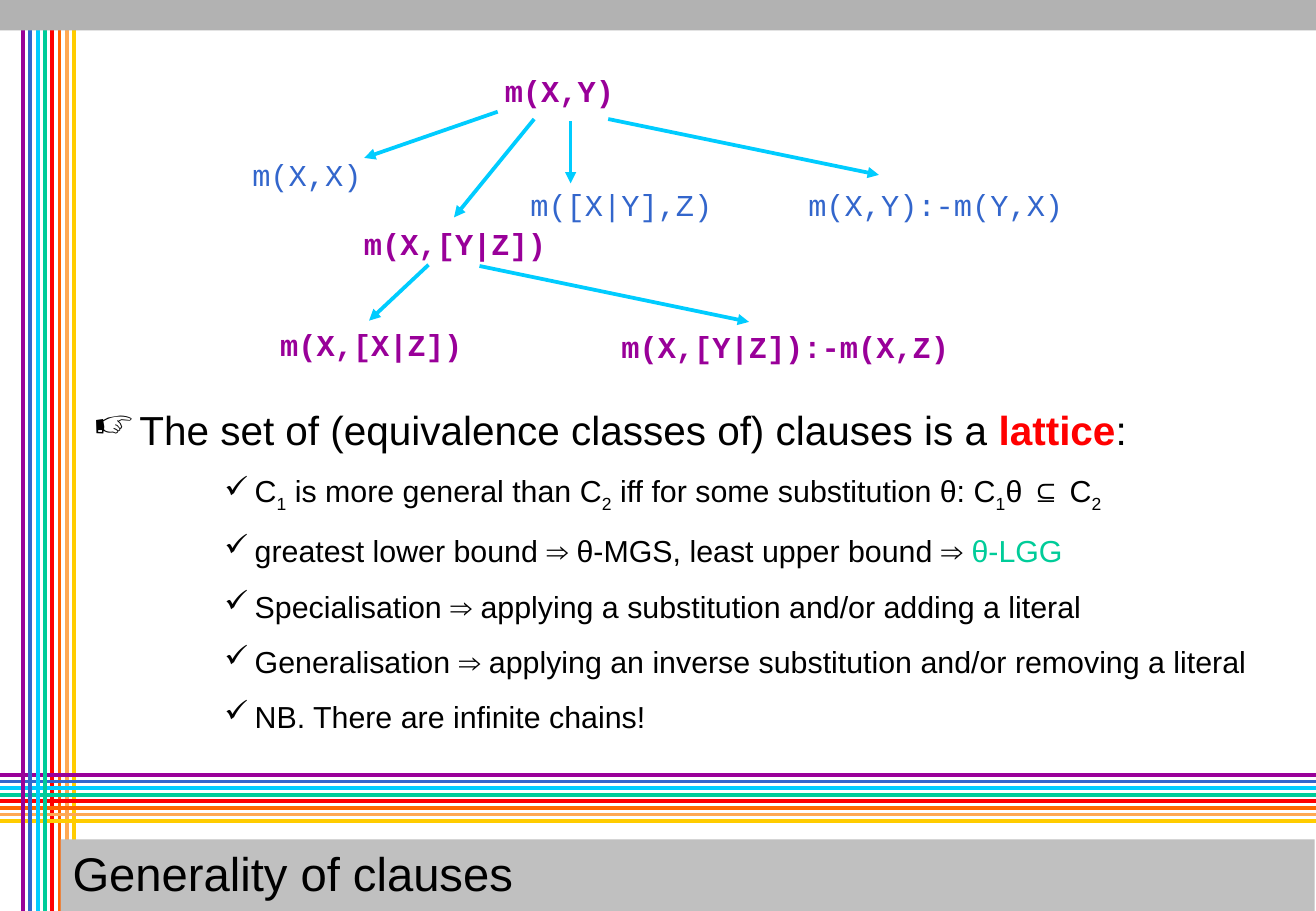
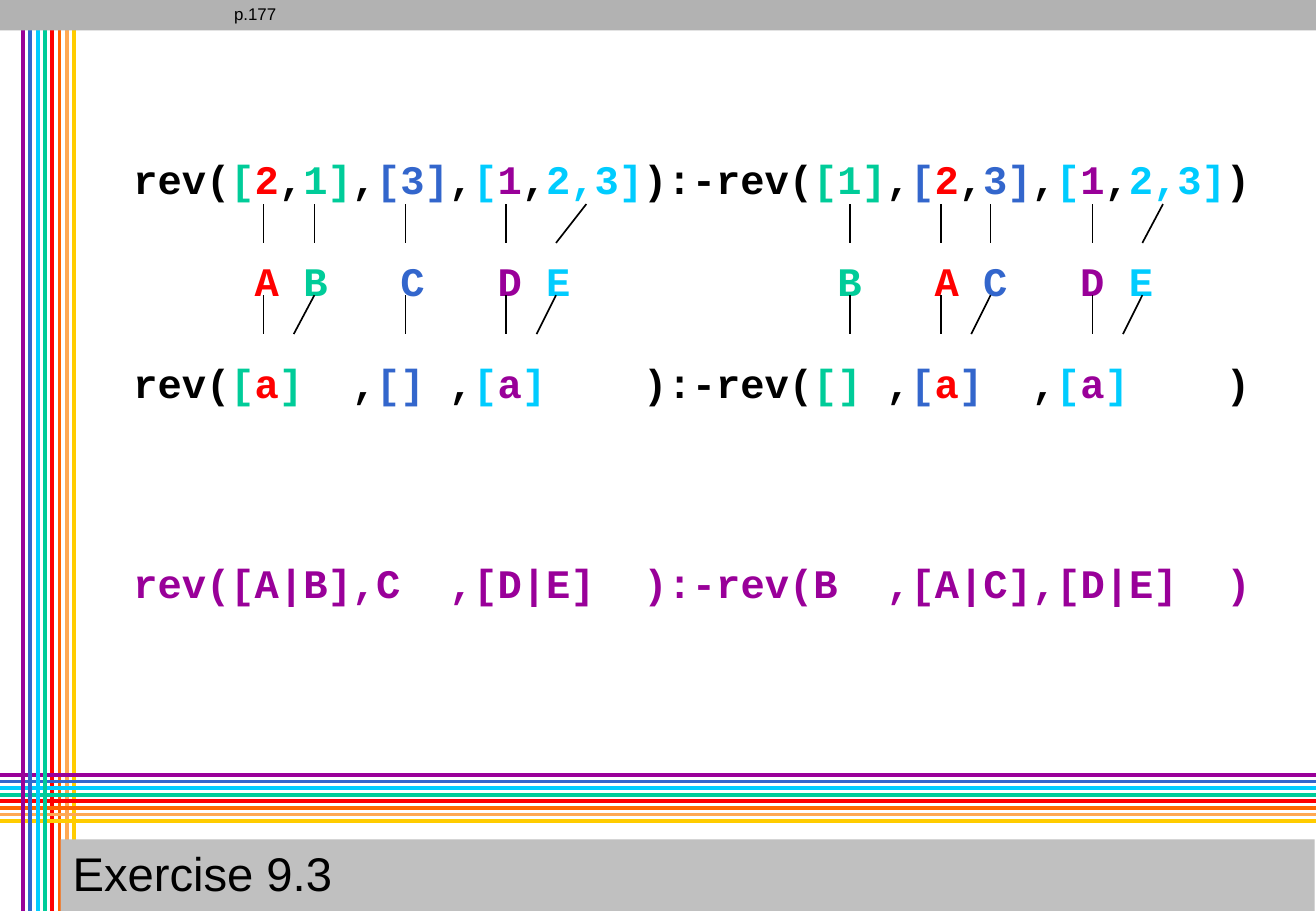
from dataclasses import dataclass
from typing import NamedTuple

from pptx import Presentation
from pptx.dml.color import RGBColor
from pptx.enum.shapes import MSO_CONNECTOR, MSO_SHAPE
from pptx.enum.text import MSO_ANCHOR, PP_ALIGN
from pptx.oxml.ns import qn
from pptx.slide import Slide
from pptx.util import Inches, Pt
from lxml.etree import SubElement

WIDE, HIGH = 10.84, 7.5
BLACK = RGBColor(0, 0, 0)
PURPLE = RGBColor(0x99, 0x00, 0x99)
BLUE = RGBColor(0x33, 0x66, 0xCC)
CYAN = RGBColor(0x00, 0xCC, 0xFF)
GREEN = RGBColor(0x00, 0xCC, 0x99)
RED = RGBColor(0xFF, 0x00, 0x00)
ORANGE = RGBColor(0xFF, 0x66, 0x00)
PEACH = RGBColor(0xFF, 0xA9, 0x53)
YELLOW = RGBColor(0xFF, 0xCC, 0x00)
TOP_GRAY = RGBColor(0xB2, 0xB2, 0xB2)
BAR_GRAY = RGBColor(0xC0, 0xC0, 0xC0)
HUES = [PURPLE, BLUE, CYAN, GREEN, RED, ORANGE, PEACH, YELLOW]

TITLE = {"name": "Arial", "size": Pt(28)}
LEAD = {"name": "Arial", "size": Pt(24)}
POINT = {"name": "Arial", "size": Pt(18)}
PAGE = {"name": "Arial", "size": Pt(10)}
NODE = {"name": "Courier New", "size": Pt(18)}
CODE = {"name": "Courier New", "size": Pt(24), "bold": True}


class Span(NamedTuple):
    text: str
    color: RGBColor = BLACK
    bold: bool = False
    sub: bool = False


class Node(NamedTuple):
    text: str
    left: float
    top: float
    color: RGBColor = PURPLE


class Link(NamedTuple):
    x1: float
    y1: float
    x2: float
    y2: float


class Pin(NamedTuple):
    """The x of a line at the upper clause, the variable and the lower clause."""
    top: float
    mid: float
    foot: float


@dataclass
class Bullet:
    sign: str
    indent: float
    hang: float
    gap: float
    style: dict


HAND = Bullet("☞", 0.38, 0.38, 0, LEAD)
TICK = Bullet("✓", 1.33, 0.25, 11.2, POINT)

NODES = [
    Node("m(X,Y)", 4.06, 0.58),
    Node("m(X,[Y|Z])", 2.9, 1.84),
    Node("m([X|Y],Z)", 4.27, 1.52, BLUE),
    Node("m(X,Y):-m(Y,X)", 6.56, 1.52, BLUE),
    Node("m(X,[X|Z])", 2.21, 2.67),
    Node("m(X,X)", 1.98, 1.27, BLUE),
    Node("m(X,[Y|Z]):-m(X,Z)", 5.02, 2.69),
]
LINKS = [
    Link(4.4, 0.98, 3.74, 1.79),
    Link(4.7, 1, 4.7, 1.51),
    Link(5.01, 0.98, 7.24, 1.44),
    Link(3.53, 2.18, 3.04, 2.64),
    Link(4.1, 0.92, 3, 1.3),
    Link(3.95, 2.19, 6.17, 2.65),
]
POINTS = [
    (HAND, [Span("The set of (equivalence classes of) clauses is a "),
            Span("lattice", RED, bold=True), Span(":")]),
    (TICK, [Span("C"), Span("1", sub=True), Span(" is more general than C"),
            Span("2", sub=True), Span(" iff for some substitution θ: C"),
            Span("1", sub=True), Span("θ ⊆ C"), Span("2", sub=True)]),
    (TICK, [Span("greatest lower bound ⇒ θ-MGS, least upper bound ⇒ "),
            Span("θ-LGG", GREEN)]),
    (TICK, [Span("Specialisation ⇒ applying a substitution "
                 "and/or adding a literal")]),
    (TICK, [Span("Generalisation ⇒ applying an inverse substitution "
                 "and/or removing a literal")]),
    (TICK, [Span("NB. There are infinite chains!")]),
]

COMMA = (",", BLACK)
TAIL = [("[", CYAN), ("1", PURPLE), COMMA, ("2,3]", CYAN)]
FULL = [
    ("rev(", BLACK), ("[", GREEN), ("2", RED), COMMA, ("1]", GREEN), COMMA,
    ("[3]", BLUE), COMMA, *TAIL, ("):-rev(", BLACK), ("[1]", GREEN), COMMA,
    ("[", BLUE), ("2", RED), COMMA, ("3]", BLUE), COMMA, *TAIL, (")", BLACK),
]
BASE = [
    ("rev(", BLACK), ("[", GREEN), ("a", RED), ("]", GREEN), ("  ,", BLACK),
    ("[]", BLUE), (" ,", BLACK), ("[", CYAN), ("a", PURPLE), ("]", CYAN),
    ("    ):-rev(", BLACK), ("[]", GREEN), (" ,", BLACK), ("[", BLUE),
    ("a", RED), ("]", BLUE), ("  ,", BLACK), ("[", CYAN), ("a", PURPLE),
    ("]    ", CYAN), (")", BLACK),
]
RESULT = [("rev([A|B],C  ,[D|E]  ):-rev(B  ,[A|C],[D|E]  )", PURPLE)]
VAR_HUES = {"A": RED, "B": GREEN, "C": BLUE, "D": PURPLE, "E": CYAN}
VARS = "ABCDEBACDE"
COLS = [5, 7, 11, 15, 17, 29, 33, 35, 39, 41]
CELL = 0.2
PINS = [
    Pin(2.17, 2.17, 2.17), Pin(2.59, 2.59, 2.42), Pin(3.34, 3.34, 3.34),
    Pin(4.17, 4.17, 4.17), Pin(4.83, 4.58, 4.42), Pin(7, 7, 7),
    Pin(7.75, 7.75, 7.75), Pin(8.16, 8.16, 8), Pin(9, 9, 9),
    Pin(9.58, 9.41, 9.25),
]


def draw_line(slide: Slide, link: Link, color: RGBColor, width: float = 2.25,
              arrow: bool = False) -> None:
    ends = [Inches(n) for n in link]
    line = slide.shapes.add_connector(MSO_CONNECTOR.STRAIGHT, *ends)
    line.line.color.rgb = color
    line.line.width = Pt(width)
    if arrow:
        SubElement(line.line._get_or_add_ln(), qn("a:tailEnd"), type="triangle")
    SubElement(line._element.spPr, qn("a:effectLst"))


def draw_rect(slide: Slide, left: float, top: float, width: float,
              height: float, color: RGBColor):
    box = [Inches(n) for n in (left, top, width, height)]
    rect = slide.shapes.add_shape(MSO_SHAPE.RECTANGLE, *box)
    rect.shadow.inherit = False
    rect.fill.solid()
    rect.fill.fore_color.rgb = color
    rect.line.fill.background()
    return rect


def add_frame(slide: Slide, left: float, top: float, width: float,
              height: float, wrap: bool = True):
    box = [Inches(n) for n in (left, top, width, height)]
    frame = slide.shapes.add_textbox(*box).text_frame
    frame.word_wrap = wrap
    return frame


def next_par(frame, first: bool):
    return frame.paragraphs[0] if first else frame.add_paragraph()


def write(par, spans: list[Span], style: dict) -> None:
    for span in spans:
        run = par.add_run()
        run.text = span.text
        look = {"bold": span.bold, **style}
        for key, value in look.items():
            setattr(run.font, key, value)
        run.font.color.rgb = span.color
        if span.sub:
            run._r.get_or_add_rPr().set("baseline", "-25000")


def set_bullet(par, mark: Bullet) -> None:
    props = par._p.get_or_add_pPr()
    props.set("marL", str(Inches(mark.indent)))
    props.set("indent", str(-Inches(mark.hang)))
    tint = SubElement(props, qn("a:buClr"))
    SubElement(tint, qn("a:srgbClr"), val=str(BLACK))
    SubElement(props, qn("a:buChar"), char=mark.sign)
    par.space_before = Pt(mark.gap)


def set_tabs(par, stops: list[float]) -> None:
    tabs = SubElement(par._p.get_or_add_pPr(), qn("a:tabLst"))
    for stop in stops:
        SubElement(tabs, qn("a:tab"), pos=str(Inches(stop)), algn="l")


def new_slide(deck, title: str) -> Slide:
    """Add a slide with the woven stripes, the top band and the title bar."""
    slide = deck.slides.add_slide(deck.slide_layouts[6])
    down, across = [], []
    for i, hue in enumerate(HUES):
        x, y = 0.19 + 0.06 * i, 6.38 + 0.38 * i / 7
        down.append((Link(x, 0, x, HIGH), hue))
        across.append((Link(WIDE, y, 0, y), hue))
    for link, hue in down[4:] + across + down[:4]:
        draw_line(slide, link, hue)
    draw_rect(slide, 0, 0, WIDE, 0.25, TOP_GRAY)
    frame = draw_rect(slide, 0.5, 6.91, 10.33, 0.6, BAR_GRAY).text_frame
    frame.word_wrap = True
    frame.vertical_anchor = MSO_ANCHOR.MIDDLE
    par = frame.paragraphs[0]
    par.alignment = PP_ALIGN.LEFT
    par.line_spacing = 0.9
    write(par, [Span(title)], TITLE)
    return slide


def add_lattice(deck) -> None:
    slide = new_slide(deck, "Generality of clauses")
    for node in NODES:
        width = 0.15 * len(node.text) + 0.2
        frame = add_frame(slide, node.left, node.top, width, 0.37, wrap=False)
        par = frame.paragraphs[0]
        par.line_spacing = 0.9
        bold = node.color == PURPLE
        write(par, [Span(node.text, node.color, bold)], NODE)
    for link in LINKS:
        draw_line(slide, link, CYAN, arrow=True)
    frame = add_frame(slide, 0.67, 3.28, 10, 2.82)
    frame.vertical_anchor = MSO_ANCHOR.MIDDLE
    for i, (mark, spans) in enumerate(POINTS):
        par = next_par(frame, i == 0)
        set_bullet(par, mark)
        write(par, spans, mark.style)


def add_drill(deck) -> None:
    slide = new_slide(deck, "Exercise 9.3")
    names = [("\t" + name, VAR_HUES[name]) for name in VARS]
    rows = [(FULL, 0), (names, 31.5), (BASE, 31.5), (RESULT, 90)]
    frame = add_frame(slide, 1, 1.22, 9.6, 4.54)
    for i, (row, gap) in enumerate(rows):
        par = next_par(frame, i == 0)
        if row is names:
            set_tabs(par, [CELL * col for col in COLS])
        par.space_before = Pt(gap)
        write(par, [Span(*part) for part in row], CODE)
    for pin in PINS:
        draw_line(slide, Link(pin.top, 1.68, pin.mid, 2), BLACK, 1)
        draw_line(slide, Link(pin.mid, 2.43, pin.foot, 2.75), BLACK, 1)
    par = add_frame(slide, 1.83, 0, 0.75, 0.25).paragraphs[0]
    par.line_spacing = 0.9
    write(par, [Span("p.177")], PAGE)


def main() -> None:
    deck = Presentation()
    deck.slide_width, deck.slide_height = Inches(WIDE), Inches(HIGH)
    add_lattice(deck)
    add_drill(deck)
    deck.save("out.pptx")


if __name__ == "__main__":
    main()
